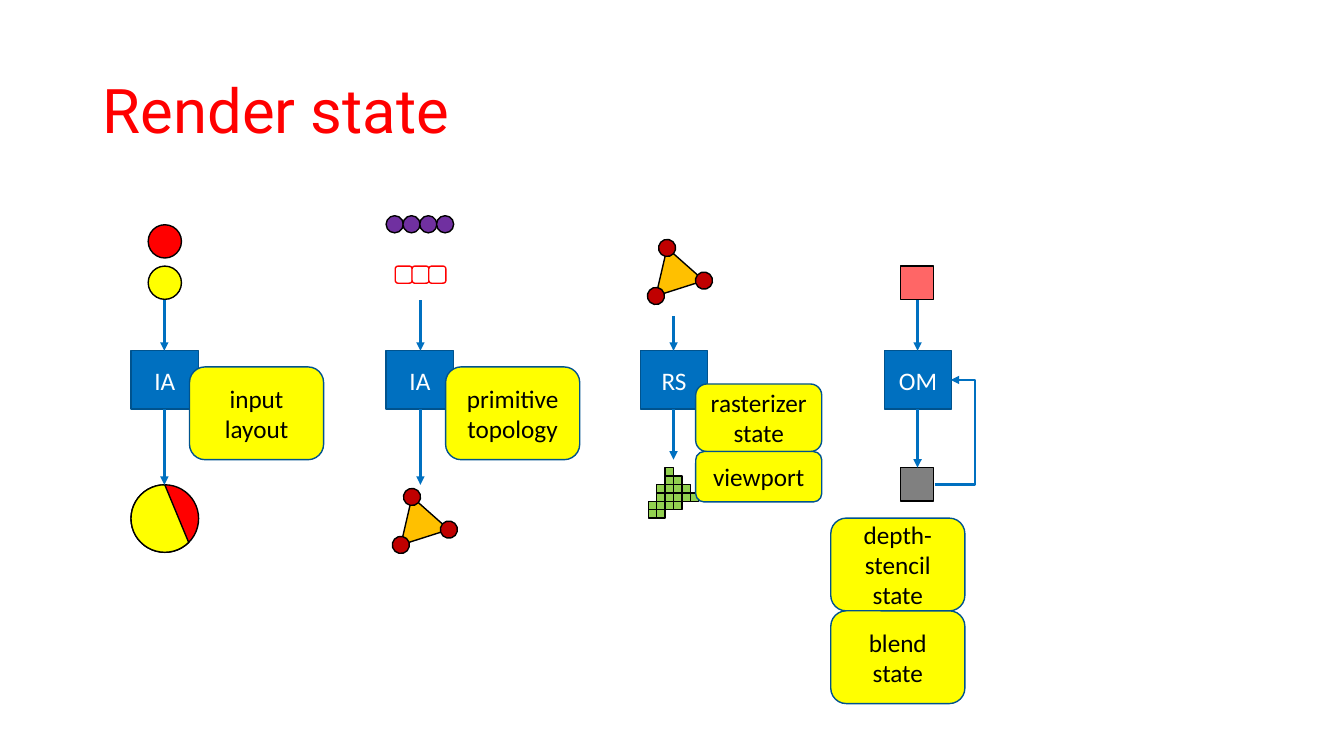
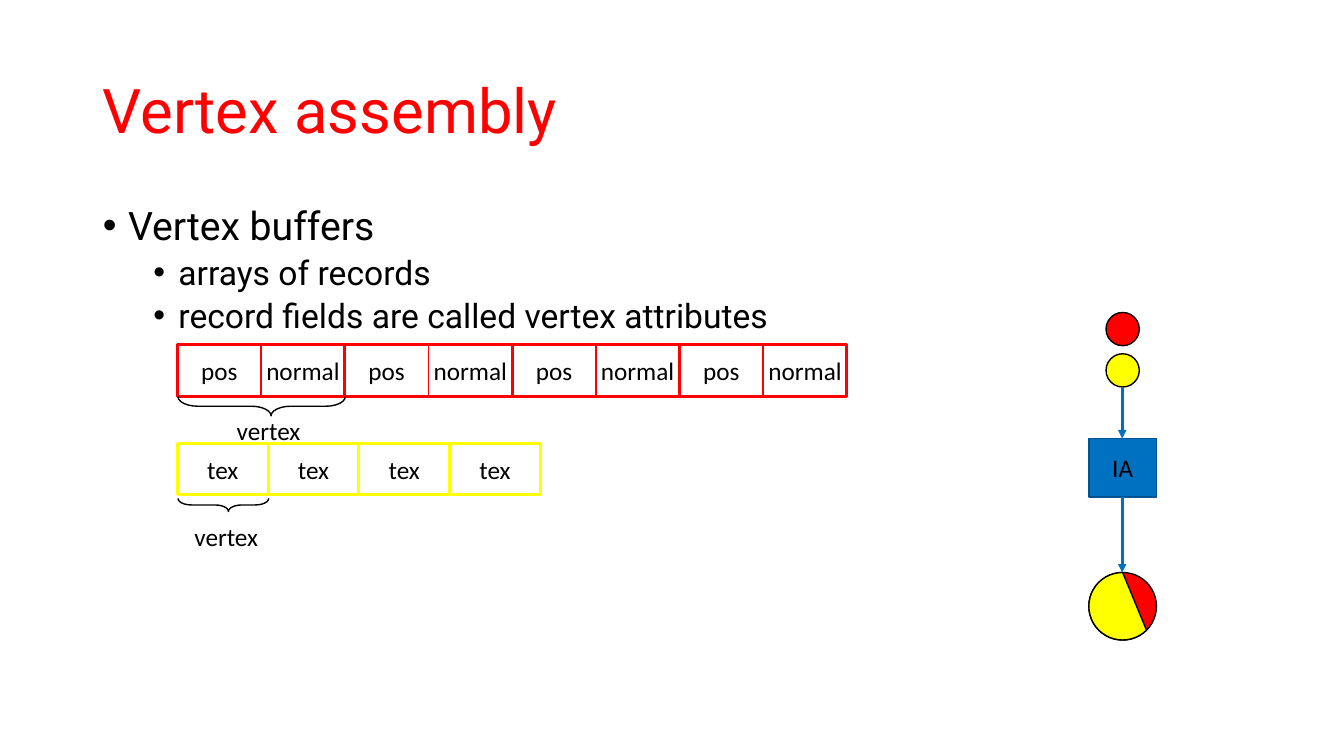
import math
from dataclasses import dataclass
from lxml import etree
from pptx import Presentation
from pptx.dml.color import RGBColor
from pptx.enum import shapes, text
from pptx.oxml import ns
from pptx.util import Inches, Pt

Preset = shapes.MSO_SHAPE


@dataclass(frozen=True)
class Theme:
    heading_font: str = "Roboto"
    label_font: str = "Calibri"
    title_size: int = 44
    list_sizes: tuple = (28, 24)
    label_size: int = 18
    black: str = "000000"
    white: str = "FFFFFF"
    red: str = "FF0000"
    yellow: str = "FFFF00"
    blue: str = "0070C0"
    navy: str = "00538E"
    purple: str = "7030A0"
    green: str = "92D050"
    amber: str = "FFC000"
    crimson: str = "C00000"
    salmon: str = "FF6666"
    gray: str = "808080"


class Deck:
    def __init__(self, theme):
        self.theme = theme
        self.presentation = Presentation()
        self.presentation.slide_width = Inches(13.33)
        self.presentation.slide_height = Inches(7.5)
        self.slide = None

    def place(self, item, left, top, width, height):
        item.left, item.top = Inches(left), Inches(top)
        item.width, item.height = Inches(width), Inches(height)

    def style(self, paragraph, font, size, color):
        paragraph.font.name = font
        paragraph.font.size = Pt(size)
        paragraph.font.color.rgb = RGBColor.from_string(color)

    def new_slide(self, heading, layout):
        self.slide = self.presentation.slides.add_slide(
            self.presentation.slide_layouts[layout])
        title = self.slide.shapes.title
        self.place(title, 0.92, 0.4, 11.5, 1.45)
        frame = title.text_frame
        frame.text = heading
        frame.auto_size = text.MSO_AUTO_SIZE.NONE
        frame.vertical_anchor = text.MSO_ANCHOR.MIDDLE
        paragraph = frame.paragraphs[0]
        paragraph.alignment = text.PP_ALIGN.LEFT
        paragraph.line_spacing = 0.9
        self.style(paragraph, self.theme.heading_font,
                   self.theme.title_size, self.theme.red)

    def bullets(self, entries):
        body = self.slide.placeholders[1]
        self.place(body, 0.92, 2, 11.5, 4.76)
        frame = body.text_frame
        frame.text = "\n".join(words for _, words in entries)
        frame.auto_size = text.MSO_AUTO_SIZE.NONE
        for paragraph, (level, _) in zip(frame.paragraphs, entries):
            paragraph.level = level
            paragraph.line_spacing = 0.9
            paragraph.space_before = Pt(5 if level else 10)
            self.style(paragraph, self.theme.heading_font,
                       self.theme.list_sizes[level], self.theme.black)
            properties = paragraph.font._element.getparent()
            properties.set("marL", str(Inches(0.25 + 0.5 * level)))
            properties.set("indent", str(Inches(-0.25)))
            run_defaults = properties.find(ns.qn("a:defRPr"))
            for tag, name, value in (("a:buFont", "typeface", "Arial"),
                                     ("a:buChar", "char", "•")):
                bullet = etree.Element(ns.qn(tag))
                bullet.set(name, value)
                run_defaults.addprevious(bullet)

    def shape(self, preset, left, top, width, height, fill=None, line=None,
              weight=1, rotation=0):
        item = self.slide.shapes.add_shape(
            preset, Inches(left), Inches(top), Inches(width), Inches(height))
        item.shadow.inherit = False
        if fill:
            item.fill.solid()
            item.fill.fore_color.rgb = RGBColor.from_string(fill)
        else:
            item.fill.background()
        item.line.color.rgb = RGBColor.from_string(line or self.theme.black)
        item.line.width = Pt(weight)
        item.rotation = rotation
        return item

    def label(self, item, words, color=None, wrap=True,
              align=text.PP_ALIGN.CENTER):
        frame = item.text_frame
        frame.text = words
        frame.word_wrap = wrap
        for paragraph in frame.paragraphs:
            paragraph.alignment = align
            self.style(paragraph, self.theme.label_font,
                       self.theme.label_size, color or self.theme.black)
        return frame

    def stage(self, name, left, top, color=None):
        box = self.shape(Preset.RECTANGLE, left, top, 0.67, 0.58,
                         self.theme.blue, self.theme.navy)
        self.label(box, name, color or self.theme.white)

    def state(self, words, left, top, width=1.33, height=0.92):
        box = self.shape(Preset.ROUNDED_RECTANGLE, left, top, width, height,
                         self.theme.yellow, self.theme.navy)
        self.label(box, words)

    def cell(self, words, left, top, width, color, weight):
        box = self.shape(Preset.RECTANGLE, left, top, width, 0.51,
                         line=color, weight=weight)
        self.label(box, words, wrap=False)

    def caption(self, words, left, top):
        box = self.slide.shapes.add_textbox(
            Inches(left), Inches(top), Inches(0.84), Inches(0.4))
        frame = self.label(box, words, wrap=False, align=text.PP_ALIGN.LEFT)
        frame.auto_size = text.MSO_AUTO_SIZE.SHAPE_TO_FIT_TEXT

    def brace(self, left, top, width, height):
        item = self.shape(Preset.RIGHT_BRACE, left, top, width, height,
                          rotation=90)
        item.adjustments[0], item.adjustments[1] = 1.028, 0.444

    def arrow(self, start, end, bend=None):
        kind = (shapes.MSO_CONNECTOR.STRAIGHT if bend is None
                else shapes.MSO_CONNECTOR.ELBOW)
        item = self.slide.shapes.add_connector(
            kind, *(Inches(value) for value in (*start, *end)))
        item.line.color.rgb = RGBColor.from_string(self.theme.blue)
        item.line.width = Pt(2)
        properties = item.element.spPr
        etree.SubElement(properties.find(ns.qn("a:ln")),
                         ns.qn("a:tailEnd"), type="triangle")
        etree.SubElement(properties, ns.qn("a:effectLst"))
        if bend is not None:
            etree.SubElement(properties.find(".//" + ns.qn("a:avLst")),
                             ns.qn("a:gd"), name="adj1",
                             fmla=f"val {round(bend * 100000)}")

    def drop(self, x, top, bottom):
        self.arrow((x, top), (x, bottom))

    def vertex_assembly(self, left, top, color=None):
        theme = self.theme
        self.stage("IA", left, top, color)
        for preset, fill in ((Preset.OVAL, theme.red),
                             (Preset.CHORD, theme.yellow)):
            self.shape(preset, left, top + 1.33, 0.67, 0.67, fill)
        for rise, fill in ((1.25, theme.red), (0.84, theme.yellow)):
            self.shape(Preset.OVAL, left + 0.17, top - rise, 0.33, 0.33, fill)
        self.drop(left + 0.33, top - 0.5, top)
        self.drop(left + 0.33, top + 0.58, top + 1.33)

    def primitive(self, x, y):
        width, height, dot, tilt = 0.5, 0.42, 0.17, 342.3
        self.shape(Preset.ISOSCELES_TRIANGLE, x - width / 2, y - height / 2,
                   width, height, self.theme.amber, rotation=tilt)
        cos, sin = math.cos(math.radians(tilt)), math.sin(math.radians(tilt))
        for across, down in ((0, -height / 2), (-width / 2, height / 2),
                             (width / 2, height / 2)):
            self.shape(Preset.OVAL,
                       x + across * cos - down * sin - dot / 2,
                       y + across * sin + down * cos - dot / 2,
                       dot, dot, self.theme.crimson, rotation=tilt)

    def fragments(self, left, top):
        side = 1 / 12
        spans = ((2, 3), (2, 4), (1, 5), (1, 6), (0, 4), (0, 2))
        for row, span in enumerate(spans):
            for column in range(*span):
                self.shape(Preset.RECTANGLE, left + column * side,
                           top + row * side, side, side, self.theme.green)


def render_state(deck):
    theme = deck.theme
    stage_top, stage_bottom = 3.48, 4.06
    deck.new_slide("Render state", 5)

    deck.vertex_assembly(1.3, stage_top)
    deck.state("input\nlayout", 1.88, 3.64)

    deck.stage("IA", 3.83, stage_top)
    deck.drop(4.17, 2.98, stage_top)
    deck.drop(4.17, stage_bottom, 4.81)
    for index in range(3):
        deck.shape(Preset.ROUNDED_RECTANGLE, 3.92 + index / 6, 2.64,
                   0.17, 0.17, theme.white, theme.red)
    for vertex in range(4):
        deck.shape(Preset.OVAL, 3.83 + vertex / 6, 2.14, 0.17, 0.17,
                   theme.purple)
    deck.primitive(4.15, 5.13)
    deck.state("primitive\ntopology", 4.42, 3.64)

    deck.stage("RS", 6.35, stage_top)
    deck.primitive(6.68, 2.66)
    deck.drop(6.68, 3.14, stage_top)
    deck.fragments(6.43, 4.64)
    deck.drop(6.68, stage_bottom, 4.56)
    deck.state("rasterizer\nstate", 6.9, 3.81, 1.25, 0.67)
    deck.state("viewport", 6.9, 4.48, 1.25, 0.5)

    deck.stage("OM", 8.77, stage_top)
    for top, fill in ((2.64, theme.salmon), (4.64, theme.gray)):
        deck.shape(Preset.RECTANGLE, 8.93, top, 0.33, 0.33, fill)
    deck.drop(9.1, 2.98, stage_top)
    deck.drop(9.1, stage_bottom, 4.64)
    deck.arrow((9.27, 4.81), (9.43, 3.77), bend=2.5)
    deck.state("depth-stencil\nstate", 8.24, 5.14)
    deck.state("blend\nstate", 8.24, 6.06)


def vertex_buffers(deck):
    theme = deck.theme
    buffer_left, record, field, texture = 1.76, 1.66, 0.83, 0.9
    deck.new_slide("Vertex assembly", 1)
    deck.bullets(((0, "Vertex buffers"),
                  (1, "arrays of records"),
                  (1, "record fields are called vertex attributes")))
    for index in range(4):
        left = buffer_left + index * record
        deck.shape(Preset.RECTANGLE, left, 3.42, record, 0.51,
                   line=theme.red, weight=2)
        for position, attribute in enumerate(("pos", "normal")):
            deck.cell(attribute, left + position * field, 3.42, field,
                      theme.red, 1)
        deck.cell("tex", buffer_left + index * texture, 4.4, texture,
                  theme.yellow, 2)
    deck.brace(2.5, 3.2, 0.19, record)
    deck.caption("vertex", 2.25, 4.07)
    deck.brace(2.15, 4.56, 0.13, texture)
    deck.caption("vertex", 1.83, 5.12)
    deck.vertex_assembly(10.8, 4.35, theme.black)


deck = Deck(Theme())
render_state(deck)
vertex_buffers(deck)
deck.presentation.save("out.pptx")
